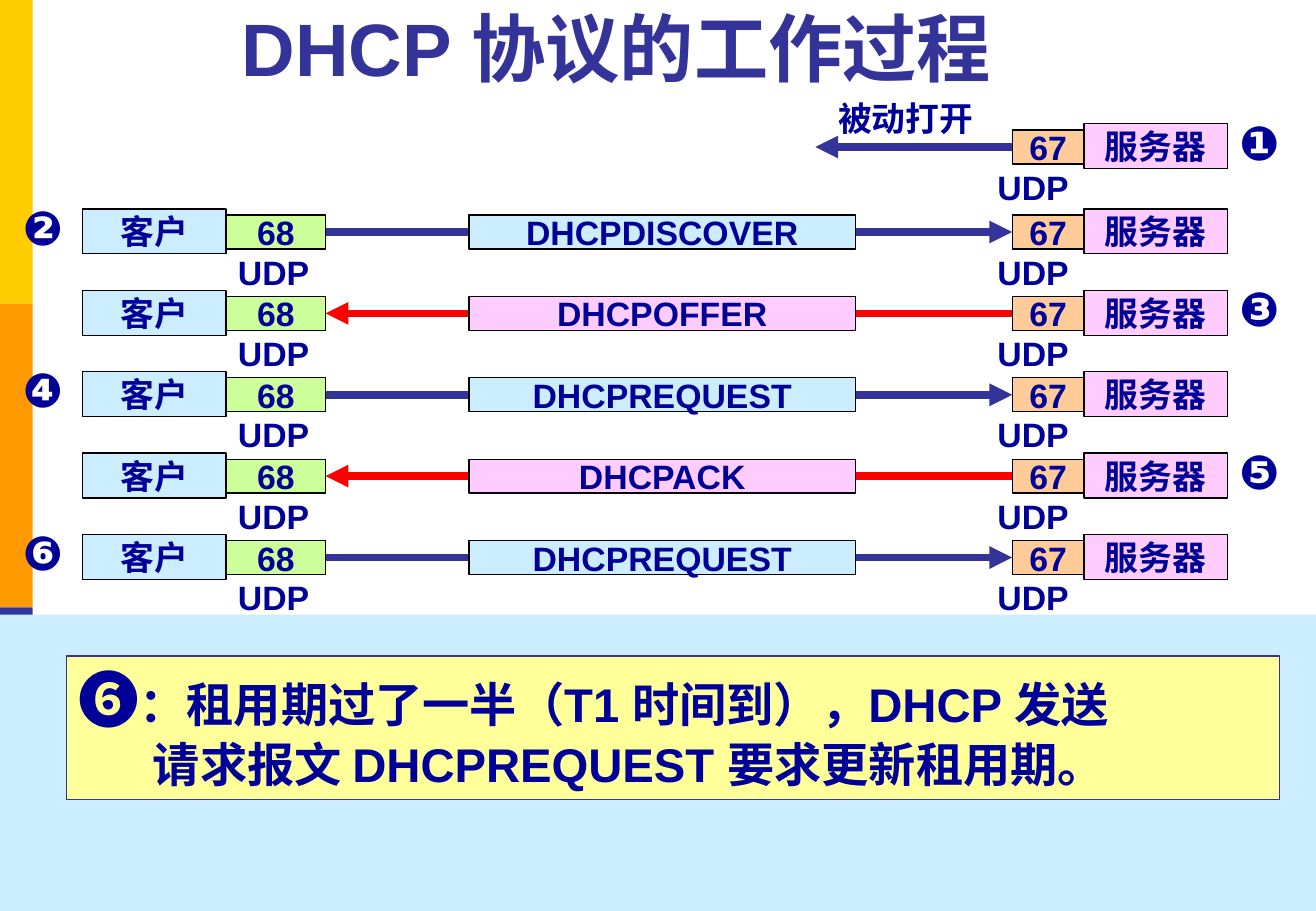
from lxml import etree
from pptx import Presentation
from pptx.dml.color import RGBColor
from pptx.enum.shapes import MSO_CONNECTOR as CONNECTOR, MSO_SHAPE as SHAPE
from pptx.enum.text import MSO_ANCHOR as ANCHOR, MSO_AUTO_SIZE as AUTO, PP_ALIGN as ALIGN
from pptx.oxml.ns import qn
from pptx.util import Inches, Pt

NAVY = RGBColor(0x00, 0x00, 0x99)
INDIGO = RGBColor(0x33, 0x33, 0x99)
RED = RGBColor(0xFF, 0x00, 0x00)
BLACK = RGBColor(0x00, 0x00, 0x00)
GOLD = RGBColor(0xFF, 0xCC, 0x00)
ORANGE = RGBColor(0xFF, 0x99, 0x00)
SKY = RGBColor(0xCC, 0xEC, 0xFF)
PINK = RGBColor(0xFF, 0xCC, 0xFF)
PEACH = RGBColor(0xFF, 0xCC, 0x99)
LIME = RGBColor(0xCC, 0xFF, 0x99)
YELLOW = RGBColor(0xFF, 0xFF, 0x99)

LEFT, RIGHT = 1, 3  # connection sites of a rectangle


class Board:
    """Holds the slide and the common text style."""

    def __init__(self, slide, font="Arial", size=20, color=NAVY):
        self.shapes = slide.shapes
        self.font, self.size, self.color = font, size, color

    def style(self, paragraph, align, size=None, color=None):
        paragraph.alignment = align
        font = paragraph.font
        font.name, font.bold = self.font, True
        font.size = Pt(size or self.size)
        font.color.rgb = color or self.color

    def box(self, x, y, w, h, fill, text="", line=None):
        box = self.shapes.add_shape(SHAPE.RECTANGLE, Inches(x), Inches(y), Inches(w), Inches(h))
        box.shadow.inherit = False
        box.fill.solid()
        box.fill.fore_color.rgb = fill
        if line is None:
            box.line.fill.background()
        else:
            box.line.color.rgb = line
            box.line.width = Pt(0.75)
        if text:
            frame = box.text_frame
            frame.word_wrap = False
            frame.vertical_anchor = ANCHOR.MIDDLE
            frame.text = text
            self.style(frame.paragraphs[0], ALIGN.CENTER)
        return box

    def label(self, x, y, w, h, text, size=None):
        frame = self.shapes.add_textbox(Inches(x), Inches(y), Inches(w), Inches(h)).text_frame
        frame.word_wrap = False
        frame.auto_size = AUTO.SHAPE_TO_FIT_TEXT
        frame.text = text
        self.style(frame.paragraphs[0], ALIGN.LEFT, size)

    def title(self, x, y, w, h, text):
        frame = self.shapes.add_textbox(Inches(x), Inches(y), Inches(w), Inches(h)).text_frame
        frame.word_wrap = True
        frame.vertical_anchor = ANCHOR.BOTTOM
        frame.text = text
        self.style(frame.paragraphs[0], ALIGN.CENTER, 44, INDIGO)

    def arrow(self, x1, x2, y, color, start=None, end=None):
        arrow = self.shapes.add_connector(
            CONNECTOR.STRAIGHT, Inches(x1), Inches(y), Inches(x2), Inches(y))
        if start:
            arrow.begin_connect(*start)
        if end:
            arrow.end_connect(*end)
        arrow.line.color.rgb = color
        arrow.line.width = Pt(4.5)
        etree.SubElement(arrow.line._get_or_add_ln(), qn("a:tailEnd"), type="triangle")
        etree.SubElement(arrow._element.spPr, qn("a:effectLst"))

    def note(self, x, y, w, h, marker, first, second, indent):
        frame = self.box(x, y, w, h, YELLOW, line=INDIGO).text_frame
        frame.word_wrap = True
        frame.vertical_anchor = ANCHOR.TOP
        opening, closing = frame.paragraphs[0], frame.add_paragraph()
        for text, size in ((marker, 36), (first, 28)):
            run = opening.add_run()
            run.text = text
            run.font.size = Pt(size)
        closing.text = second
        closing._p.get_or_add_pPr().set("marL", str(Inches(indent)))
        for paragraph in (opening, closing):
            self.style(paragraph, ALIGN.JUSTIFY, 28)


def server(board, y):
    board.box(8.92, y, 1.18, 0.37, PINK, "服务器", BLACK)
    port = board.box(8.33, y + 0.05, 0.59, 0.28, PEACH, "67", BLACK)
    board.label(8.11, y + 0.3, 0.8, 0.44, "UDP")
    return port, LEFT


def client(board, y):
    board.box(0.68, y, 1.18, 0.37, SKY, "客户", BLACK)
    port = board.box(1.86, y + 0.05, 0.82, 0.28, LIME, "68", BLACK)
    board.label(1.86, y + 0.3, 0.8, 0.44, "UDP")
    return port, RIGHT


def badge(board, x, y, number):
    board.label(x, y - 0.14, 0.55, 0.57, number, 28)


def main():
    prs = Presentation()
    prs.slide_width, prs.slide_height = Inches(10.83), Inches(7.5)
    board = Board(prs.slides.add_slide(prs.slide_layouts[6]))

    # Side stripe and title
    for i, color in enumerate((GOLD, ORANGE, INDIGO)):
        board.box(0, 2.5 * i, 0.27, 2.5, color)
    board.title(0.46, 0.21, 9.23, 0.59, "DHCP 协议的工作过程")

    # Passive open
    open_y = 1.02
    board.arrow(8.33, 6.71, open_y + 0.19, INDIGO, start=server(board, open_y))
    board.label(6.8, 0.76, 1.33, 0.44, "被动打开")
    badge(board, 10.1, open_y, "❶")

    # Message exchange
    exchange = (
        ("❷", "DHCPDISCOVER", True),
        ("❸", "DHCPOFFER", False),
        ("❹", "DHCPREQUEST", True),
        ("❺", "DHCPACK", False),
        ("❻", "DHCPREQUEST", True),
    )
    for i, (number, message, from_client) in enumerate(exchange):
        y = 1.72 + 0.67 * i
        client_port, server_port = client(board, y), server(board, y)
        if from_client:
            board.arrow(2.68, 8.33, y + 0.19, INDIGO, client_port, server_port)
        else:
            board.arrow(8.33, 2.68, y + 0.19, RED, server_port, client_port)
        board.box(3.86, y + 0.05, 3.18, 0.28, SKY if from_client else PINK, message, BLACK)
        badge(board, 0.09 if from_client else 10.1, y, number)

    # Explanation of the current step
    board.box(0, 5.06, 10.83, 2.44, SKY)
    board.note(0.55, 5.4, 9.98, 1.18, "❻", "：租用期过了一半（T1 时间到），DHCP 发送",
               "请求报文 DHCPREQUEST 要求更新租用期。", 0.61)

    prs.save("out.pptx")


if __name__ == "__main__":
    main()
